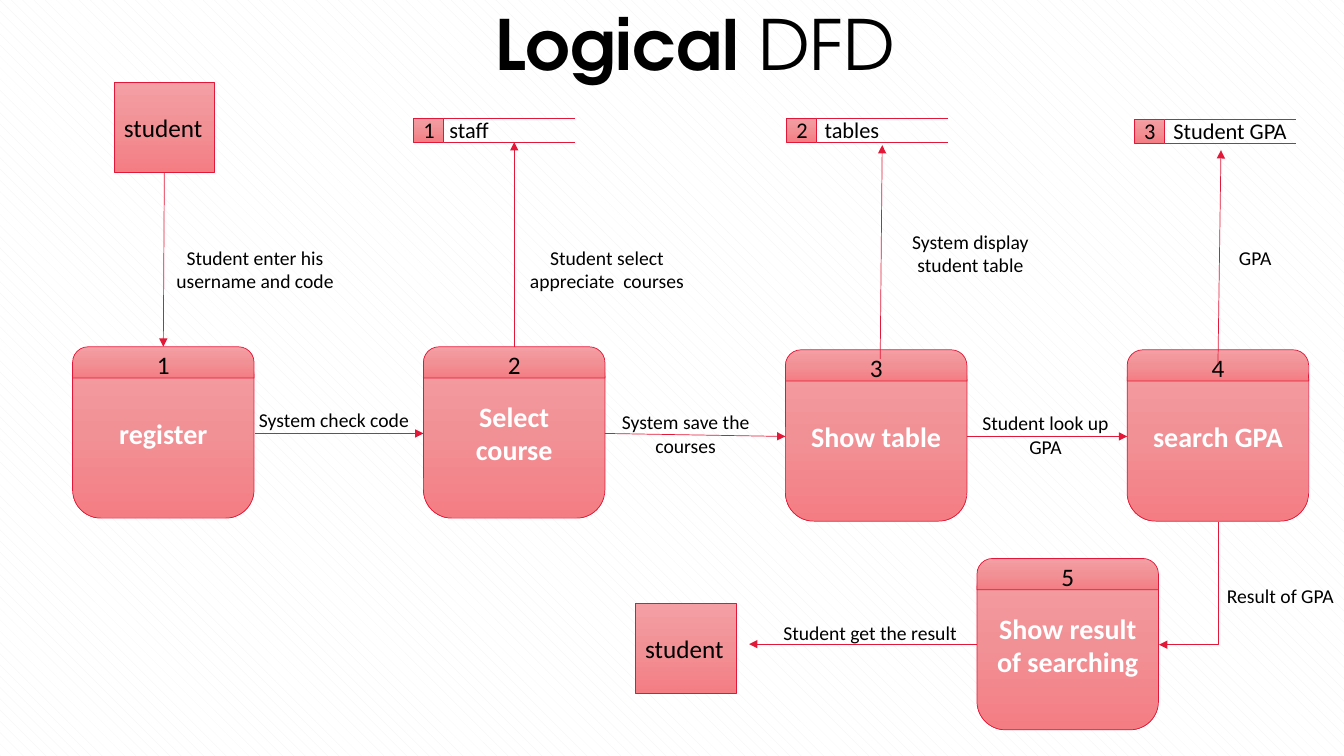
import copy

import pptx
import pptx.util
from pptx.dml.color import RGBColor
from pptx.enum.dml import MSO_PATTERN
from pptx.enum.shapes import MSO_CONNECTOR, MSO_SHAPE
from pptx.enum.text import MSO_ANCHOR, MSO_AUTO_SIZE, PP_ALIGN
from pptx.oxml.ns import qn
from pptx.oxml.xmlchemy import OxmlElement

PX = 9144  # 100 px to the inch
BLACK = RGBColor(0x00, 0x00, 0x00)
WHITE = RGBColor(0xFF, 0xFF, 0xFF)
HATCH = RGBColor(0xF2, 0xF2, 0xF2)
RED = RGBColor(0xE3, 0x17, 0x37)
PINKS = [
    RGBColor(0xF4, 0x9F, 0xA4),
    RGBColor(0xF1, 0x91, 0x96),
    RGBColor(0xF4, 0x7D, 0x83),
]

LEFT, CENTER = PP_ALIGN.LEFT, PP_ALIGN.CENTER
ENTITY_FONT = {"name": "Calibri", "size": pptx.util.Pt(18), "bold": False}
STORE_FONT = {**ENTITY_FONT, "size": pptx.util.Pt(16)}
FLOW_FONT = {**ENTITY_FONT, "size": pptx.util.Pt(14)}
PROCESS_FONT = {**ENTITY_FONT, "size": pptx.util.Pt(20), "bold": True}
TITLE_FONT = {"name": "TeX Gyre Adventor", "size": pptx.util.Pt(49.5)}

deck = pptx.Presentation()
deck.slide_width, deck.slide_height = 1333 * PX, 750 * PX
slide = deck.slides.add_slide(deck.slide_layouts[6])
shapes = slide.shapes

# Hatched background
backdrop = slide.background.fill
backdrop.patterned()
backdrop.pattern = MSO_PATTERN.SHINGLE
backdrop.fore_color.rgb = HATCH
backdrop.back_color.rgb = WHITE


def write(holder, text, font, align=LEFT, color=BLACK, **frame_format):
    frame = holder.text_frame
    for key, value in {"word_wrap": True, **frame_format}.items():
        setattr(frame, key, value)
    paragraph = frame.paragraphs[0]
    paragraph.alignment = align
    run = paragraph.add_run()
    run.text = text
    for key, value in font.items():
        setattr(run.font, key, value)
    run.font.color.rgb = color
    return paragraph


def add_block(kind, box, text, font, align=LEFT, color=BLACK):
    block = shapes.add_shape(kind, *(n * PX for n in box))
    block.shadow.inherit = False
    block.fill.gradient()
    block.fill.gradient_angle = 270
    stops = block._element.spPr.find(qn("a:gradFill")).find(qn("a:gsLst"))
    stops.insert(1, copy.deepcopy(stops[0]))
    for i, stop in enumerate(block.fill.gradient_stops):
        stop.position = i / 2
        stop.color.rgb = PINKS[i]
    block.line.color.rgb = RED
    block.line.width = pptx.util.Pt(0.5)
    write(block, text, font, align, color, vertical_anchor=MSO_ANCHOR.MIDDLE)
    return block


# Title
title = shapes.add_textbox(444 * PX, 13 * PX, 491 * PX, 73 * PX)
heading = write(title, "Logical ", {**TITLE_FONT, "bold": True}, CENTER,
                vertical_anchor=MSO_ANCHOR.BOTTOM)
heading.line_spacing = 0.7
light_word = heading.add_run()
light_word.text = "DFD"
for key, value in {**TITLE_FONT, "bold": False}.items():
    setattr(light_word.font, key, value)
light_word.font.color.rgb = BLACK

# External entities
for x, y in [(113, 82), (630, 599)]:
    add_block(MSO_SHAPE.RECTANGLE, (x, y, 100, 89), "student", ENTITY_FONT)

# Data stores: numbered box, with open-ended rails added to the lines below
stores = [
    (410, 117, "staff", 436, 60),
    (780, 117, "tables", 808, 75),
    (1125, 118, "Student GPA", 1154, 134),
]
rails = []
for number, (x, y, store, label_x, label_width) in enumerate(stores, 1):
    add_block(MSO_SHAPE.RECTANGLE, (x, y, 30, 24), str(number), STORE_FONT)
    rails += [(x + 30, rail_y, x + 160, rail_y) for rail_y in (y, y + 24)]
    label = shapes.add_textbox(label_x * PX, (y - 7) * PX, label_width * PX, 37 * PX)
    write(label, store, STORE_FONT, word_wrap=False,
          auto_size=MSO_AUTO_SIZE.SHAPE_TO_FIT_TEXT)

# Processes: rounded body under a numbered cap
processes = [
    (72, 344, "register"),
    (420, 344, "Select course"),
    (779, 347, "Show table"),
    (1118, 347, "search GPA"),
    (969, 554, "Show result of searching"),
]
for number, (x, y, process) in enumerate(processes, 1):
    add_block(MSO_SHAPE.ROUNDED_RECTANGLE, (x, y + 1, 180, 169), process,
              PROCESS_FONT, CENTER, WHITE)
    cap = add_block(MSO_SHAPE.ROUND_2_SAME_RECTANGLE, (x, y, 180, 31),
                    str(number), ENTITY_FONT, CENTER)
    cap.adjustments[0] = 0.5
    cap.adjustments[1] = 0

# Store rails and flow arrows; the last arrow is the elbow, before its quarter turn
arrows = [
    (163, 171, 162, 344),
    (510, 344, 510, 141),
    (873, 356, 875, 144),
    (1208, 361, 1211, 149),
    (253, 430, 420, 430),
    (600, 430, 779, 433),
    (959, 433, 1118, 433),
    (969, 639, 743, 639),
]
elbow = (1118, 549, 1240, 608)
for ends in rails + arrows + [elbow]:
    kind = MSO_CONNECTOR.ELBOW if ends == elbow else MSO_CONNECTOR.STRAIGHT
    flow = shapes.add_connector(kind, *(n * PX for n in ends))
    flow.line.color.rgb = RED
    flow.line.width = pptx.util.Pt(0.5)
    properties = flow._element.spPr
    if ends not in rails:
        head = OxmlElement("a:tailEnd")
        head.set("type", "triangle")
        properties.find(qn("a:ln")).append(head)
    if ends == elbow:
        properties.find(qn("a:prstGeom")).set("prst", "bentConnector2")
        properties.find(qn("a:xfrm")).set("rot", str(90 * 60000))
    properties.append(OxmlElement("a:effectLst"))

# Flow labels
flow_labels = [
    (152, 239, 202, 57, "Student enter his username and code", CENTER),
    (501, 239, 202, 57, "Student select appreciate  courses", CENTER),
    (882, 223, 161, 57, "System display student table", CENTER),
    (1219, 239, 84, 34, "GPA", LEFT),
    (247, 400, 202, 34, "System check code", LEFT),
    (579, 402, 202, 57, "System save the courses", CENTER),
    (947, 403, 180, 57, "Student look up GPA", CENTER),
    (767, 611, 202, 34, "Student get the result", LEFT),
    (1207, 574, 138, 34, "Result of GPA", LEFT),
]
for *box, text, align in flow_labels:
    label = shapes.add_textbox(*(n * PX for n in box))
    write(label, text, FLOW_FONT, align, auto_size=MSO_AUTO_SIZE.SHAPE_TO_FIT_TEXT)

deck.save("out.pptx")
